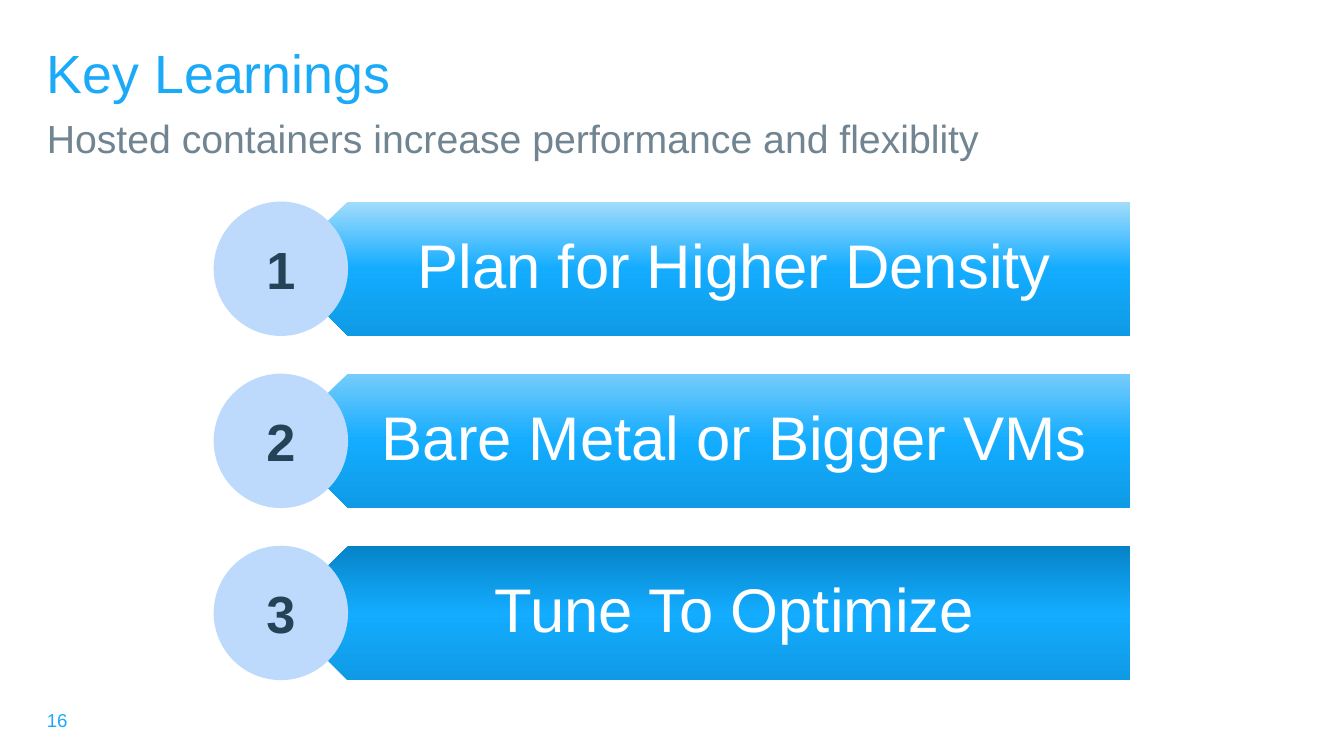
from copy import deepcopy

from pptx import Presentation
from pptx.dml.color import RGBColor
from pptx.enum.shapes import MSO_SHAPE
from pptx.enum.text import MSO_ANCHOR, PP_ALIGN
from pptx.oxml.ns import qn
from pptx.util import Pt

PENTAGON, OVAL = MSO_SHAPE.PENTAGON, MSO_SHAPE.OVAL
TOP, MIDDLE = MSO_ANCHOR.TOP, MSO_ANCHOR.MIDDLE
LEFT, CENTER = PP_ALIGN.LEFT, PP_ALIGN.CENTER

TITLE = "Key Learnings"
SUBTITLE = "Hosted containers increase performance and flexiblity"
PAGE_NUMBER = "16"
LEARNINGS = [  # text, colour at the top of the bar
    ("Plan for Higher Density", "A3DDFC"),
    ("Bare Metal or Bigger VMs", "76CCFB"),
    ("Tune To Optimize", "0683C7"),
]

THEME = {
    "font": "Arial",
    "accent": "1AAAF8", "muted": "708491", "dark": "254356", "light": "FFFFFF",
    "circle": "BDDAFC", "bar_middle": "13ACFF", "bar_bottom": "0F9AE5",
    "title": 28.8, "subtitle": 21, "bar": 33, "number": 28, "page": 10,
}

SLIDE_WIDTH, SLIDE_HEIGHT = 720, 405
MARGIN = 18
CIRCLE_LEFT, FIRST_TOP, ROW_HEIGHT, ROW_PITCH = 114.5, 108, 72, 92.2
BAR_LEFT, BAR_WIDTH = CIRCLE_LEFT + ROW_HEIGHT / 2, 455
BAR_POINT = ROW_HEIGHT / 4  # half the depth of the arrow point


def write(shape, text, *, size, color, bold=False, align=LEFT, anchor=TOP,
          spacing=1.0, insets=(7.2, 3.6, 7.2, 3.6)):
    frame = shape.text_frame
    frame.word_wrap = True
    frame.vertical_anchor = anchor
    (frame.margin_left, frame.margin_top,
     frame.margin_right, frame.margin_bottom) = map(Pt, insets)
    para = frame.paragraphs[0]
    para.alignment = align
    para.line_spacing = spacing
    span = para.add_run()
    span.text = text
    span.font.name = THEME["font"]
    span.font.size = Pt(THEME[size])
    span.font.bold = bold
    span.font.color.rgb = RGBColor.from_string(THEME[color])


def add_text(page, place, text, **style):
    box = page.shapes.add_textbox(*map(Pt, place))
    write(box, text, **style)


def add_plain_shape(page, kind, place):
    """Add a preset shape without shadow or outline."""
    shape = page.shapes.add_shape(kind, *map(Pt, place))
    shape.shadow.inherit = False
    shape.line.fill.background()
    return shape


def fill_downward(shape, colors):
    """Fill with evenly spaced gradient colours, from top to bottom."""
    shape.fill.gradient()
    stop_list = shape._element.spPr.find(".//" + qn("a:gsLst"))
    while len(stop_list) < len(colors):
        stop_list.append(deepcopy(stop_list[0]))
    for index, (stop, color) in enumerate(zip(shape.fill.gradient_stops, colors)):
        stop.position = index / (len(colors) - 1)
        stop.color.rgb = RGBColor.from_string(color)
    shape.fill.gradient_angle = 270


def add_learning(page, number, text, top_color):
    top = FIRST_TOP + (number - 1) * ROW_PITCH
    bar = add_plain_shape(page, PENTAGON, (BAR_LEFT, top, BAR_WIDTH, ROW_HEIGHT))
    bar._element.spPr.find(qn("a:xfrm")).set("flipH", "1")
    fill_downward(bar, (top_color, THEME["bar_middle"], THEME["bar_bottom"]))
    add_text(page, (BAR_LEFT + BAR_POINT, top, BAR_WIDTH - BAR_POINT, ROW_HEIGHT),
             text, size="bar", color="light", align=CENTER, anchor=MIDDLE,
             spacing=0.9, insets=(31.7, 10, 18.7, 10))
    circle = add_plain_shape(page, OVAL, (CIRCLE_LEFT, top, ROW_HEIGHT, ROW_HEIGHT))
    circle.fill.solid()
    circle.fill.fore_color.rgb = RGBColor.from_string(THEME["circle"])
    write(circle, str(number), size="number", color="dark", bold=True,
          align=CENTER, anchor=MIDDLE, insets=(0, 0, 0, 0))


def main():
    deck = Presentation()
    deck.slide_width, deck.slide_height = Pt(SLIDE_WIDTH), Pt(SLIDE_HEIGHT)
    page = deck.slides.add_slide(deck.slide_layouts[6])
    text_width = SLIDE_WIDTH - 2 * MARGIN
    add_text(page, (MARGIN, 21.6, text_width, 37.4), TITLE,
             size="title", color="accent", spacing=0.9)
    add_text(page, (MARGIN, 60.5, text_width, 36.7), SUBTITLE,
             size="subtitle", color="muted", spacing=0.9)
    for number, (text, top_color) in enumerate(LEARNINGS, start=1):
        add_learning(page, number, text, top_color)
    add_text(page, (MARGIN, 375, 170, 21.6), PAGE_NUMBER,
             size="page", color="accent", anchor=MIDDLE)
    deck.save("out.pptx")


if __name__ == "__main__":
    main()
